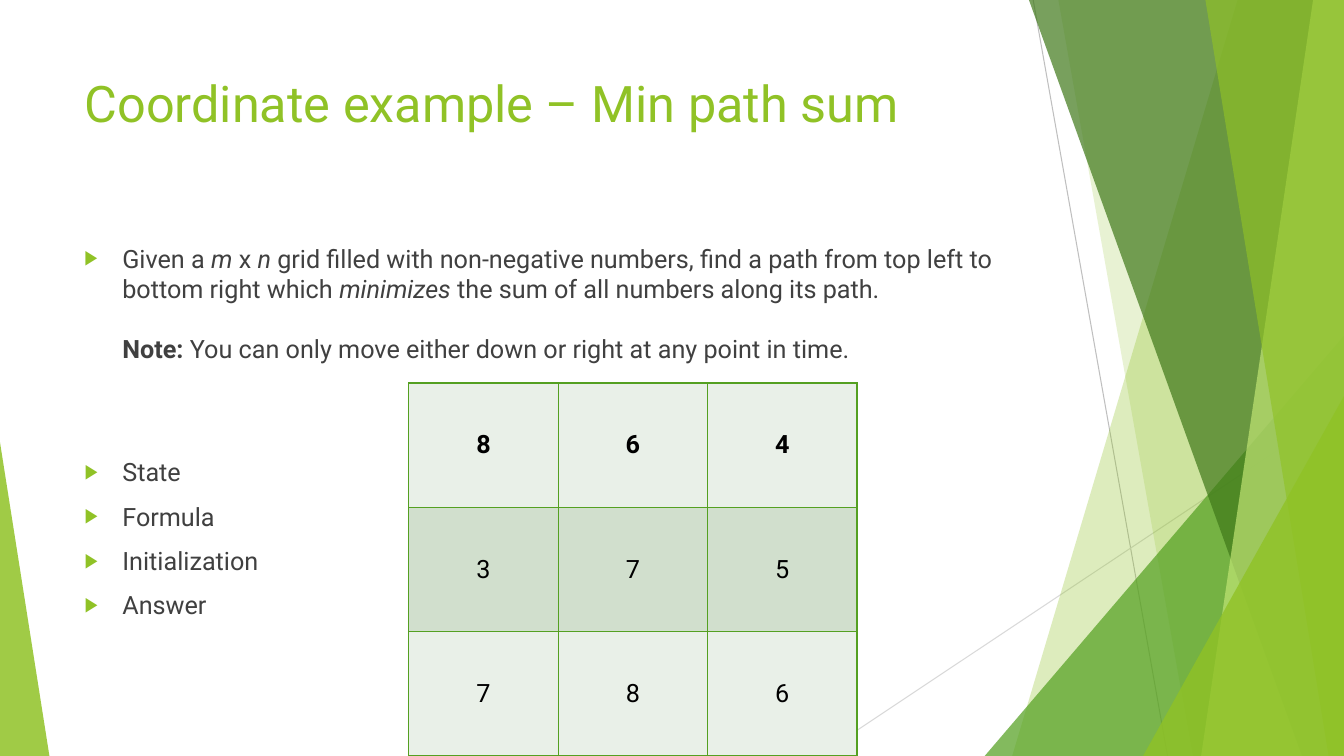
from copy import deepcopy
from lxml import etree
from pptx import Presentation
from pptx import util as u
from pptx.dml.color import RGBColor
from pptx.enum import shapes, text
from pptx.oxml import parse_xml
from pptx.oxml.ns import nsdecls, qn

LIME = RGBColor(0x90, 0xC2, 0x26)
GREEN = RGBColor(0x54, 0xA0, 0x21)
FOREST = RGBColor(0x3F, 0x78, 0x19)
PALE_LIME = RGBColor(0xC0, 0xE4, 0x74)
GRAY = RGBColor(0xBF, 0xBF, 0xBF)
LIGHT_GRAY = RGBColor(0xD9, 0xD9, 0xD9)
DARK = RGBColor(0x40, 0x40, 0x40)
BLACK = RGBColor(0, 0, 0)
LIGHT_BAND = RGBColor(0xE9, 0xF0, 0xE8)
DARK_BAND = RGBColor(0xD1, 0xDF, 0xCD)
FONT = "Roboto"
WIDTH, HEIGHT = 960, 540

TITLE = "Coordinate example – Min path sum"
PROBLEM = [
    ("Given a\u00a0", ""), ("m", "italic"), ("\u00a0x\u00a0", ""), ("n", "italic"),
    ("\u00a0grid filled with non-negative numbers, find a path from top left to "
     "bottom right which\u00a0", ""),
    ("minimizes", "italic"),
    ("\u00a0the sum of all numbers along its path.", ""),
    ("\n", ""), ("\n", ""),
    ("Note:", "bold"),
    ("\u00a0You can only move either down or right at any point in time.", ""),
]
STEPS = ["State", "Formula", "Initialization", "Answer"]
GRID = [[8, 6, 4], [3, 7, 5], [7, 8, 6]]
GRID_LEFT, GRID_TOP, CELL_WIDTH, CELL_HEIGHT = 292, 273.6, 106.7, 88.8

RAYS = [((738, 0), (834, 540), GRAY), ((960, 290), (584.6, 540), LIGHT_GRAY)]
FACETS = [
    ("band", 884, 723, LIME, 30),
    ("band", 756, 852, LIME, 20),
    ("triangle", 703.4, 239.8, 256.6, 1, GREEN, 72),
    ("band", 735, 930, FOREST, 70),
    ("band", 938, 858, PALE_LIME, 70),
    ("band", 861, 949, LIME, 65),
    ("triangle", 816.5, 283, 143.5, 1, LIME, 80),
    ("triangle", 0, 316, 35.3, 0, LIME, 85),
]

presentation = Presentation()
presentation.slide_width, presentation.slide_height = u.Pt(WIDTH), u.Pt(HEIGHT)
slide = presentation.slides.add_slide(presentation.slide_layouts[5])


def box(*lengths):
    return [u.Pt(length) for length in lengths]


def style(run, size, color, emphasis=""):
    run.font.name, run.font.size = FONT, u.Pt(size)
    run.font.color.rgb = color
    run.font.bold = emphasis == "bold"
    run.font.italic = emphasis == "italic"


def add_ray(start, end, color):
    ray = slide.shapes.add_connector(shapes.MSO_CONNECTOR.STRAIGHT, *box(*start, *end))
    ray.line.color.rgb, ray.line.width = color, u.Pt(0.75)
    etree.SubElement(ray._element.spPr, qn("a:effectLst"))


def add_band(top_x, bottom_x):
    builder = slide.shapes.build_freeform(top_x, 0, scale=u.Pt(1))
    builder.add_line_segments([(WIDTH, 0), (WIDTH, HEIGHT), (bottom_x, HEIGHT)])
    return builder.convert_to_shape()


def add_triangle(left, top, width, apex):
    triangle = slide.shapes.add_shape(
        shapes.MSO_SHAPE.ISOSCELES_TRIANGLE, *box(left, top, width, HEIGHT - top))
    triangle.adjustments[0] = apex
    return triangle


def add_facet(kind, *details):
    *geometry, color, opacity = details
    facet = {"band": add_band, "triangle": add_triangle}[kind](*geometry)
    facet.shadow.inherit = False
    facet.fill.solid()
    facet.fill.fore_color.rgb = color
    facet.line.fill.background()
    color_element = facet._element.spPr.find(qn("a:solidFill"))[0]
    etree.SubElement(color_element, qn("a:alpha"), val=str(opacity * 1000))


def add_bullet(paragraph):
    paragraph.space_before = u.Pt(10)
    properties = paragraph._p.get_or_add_pPr()
    properties.set("marL", str(u.Pt(27)))
    properties.set("indent", str(-u.Pt(27)))
    for markup in (f'<a:buClr {nsdecls("a")}><a:srgbClr val="{LIME}"/></a:buClr>',
                   f'<a:buSzPct {nsdecls("a")} val="80000"/>',
                   f'<a:buFont {nsdecls("a")} typeface="Wingdings 3"/>',
                   f'<a:buChar {nsdecls("a")} char="▶"/>'):
        properties.append(parse_xml(markup.replace("Wingdings 3", "Arial")))


def add_bullets(area, items):
    frame = slide.shapes.add_textbox(*box(*area)).text_frame
    frame.word_wrap = True
    for index, pieces in enumerate(items):
        paragraph = frame.paragraphs[0] if index == 0 else frame.add_paragraph()
        add_bullet(paragraph)
        for words, emphasis in pieces:
            if words == "\n":
                paragraph.add_line_break()
                paragraph._p[-1].append(deepcopy(paragraph.runs[-1].font._element))
                continue
            run = paragraph.add_run()
            run.text = words
            style(run, 18, DARK, emphasis)


def add_borders(cell):
    properties = cell._tc.get_or_add_tcPr()
    for side in ("lnL", "lnR", "lnT", "lnB"):
        properties.append(parse_xml(
            f'<a:{side} {nsdecls("a")} w="{u.Pt(1)}"><a:solidFill>'
            f'<a:srgbClr val="{GREEN}"/></a:solidFill></a:{side}>'))


for ray in RAYS:
    add_ray(*ray)
for facet in FACETS:
    add_facet(*facet)

title = slide.shapes.title
title.left, title.top, title.width, title.height = box(53.3, 48, 676.8, 104)
title.text_frame.text = TITLE
title.text_frame.vertical_anchor = text.MSO_ANCHOR.TOP
title.text_frame.paragraphs[0].alignment = text.PP_ALIGN.LEFT
style(title.text_frame.paragraphs[0].runs[0], 36, LIME)

add_bullets((53.3, 170, 676.8, 305), [PROBLEM])
add_bullets((53.3, 322.6, 193.7, 124.6), [[(step, "")] for step in STEPS])

row_count, column_count = len(GRID), len(GRID[0])
table = slide.shapes.add_table(row_count, column_count, *box(
    GRID_LEFT, GRID_TOP, CELL_WIDTH * column_count, CELL_HEIGHT * row_count)).table
for row, numbers in enumerate(GRID):
    for column, number in enumerate(numbers):
        cell = table.cell(row, column)
        add_borders(cell)
        cell.fill.solid()
        cell.fill.fore_color.rgb = DARK_BAND if row % 2 else LIGHT_BAND
        cell.vertical_anchor = text.MSO_ANCHOR.MIDDLE
        cell.text_frame.text = str(number)
        paragraph = cell.text_frame.paragraphs[0]
        paragraph.alignment = text.PP_ALIGN.CENTER
        style(paragraph.runs[0], 18, BLACK, "" if row else "bold")

presentation.save("out.pptx")
